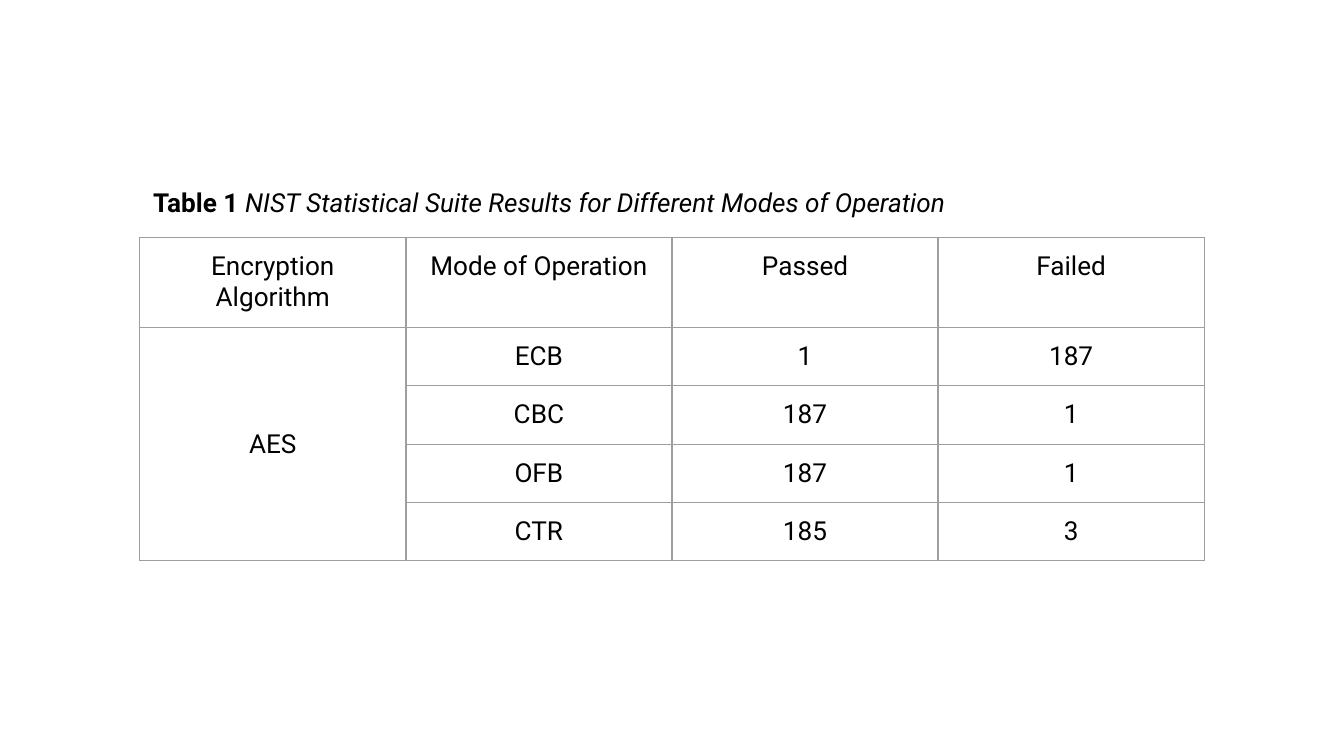
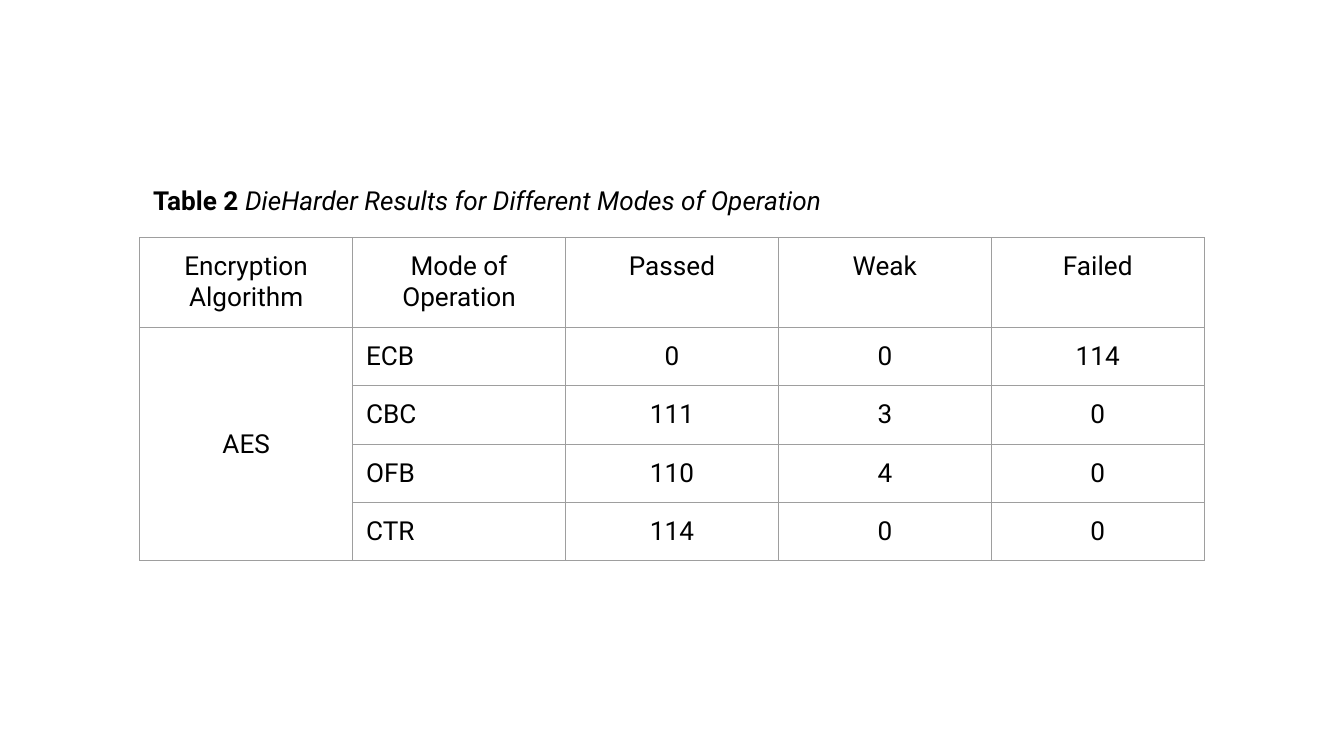
from lxml.etree import SubElement
from pptx import Presentation
from pptx.dml.color import RGBColor
from pptx.enum.text import MSO_ANCHOR as Anchor, PP_ALIGN as Align
from pptx.oxml.ns import qn
from pptx.util import Inches, Pt

RESULT_SLIDES = [
    {
        "label": "Table 1 ",
        "caption": "NIST Statistical Suite Results for Different Modes of Operation",
        "caption_top": 1.29,
        "mode_align": Align.CENTER,
        "header": ["Encryption Algorithm", "Mode of Operation", "Passed", "Failed"],
        "algorithm": "AES",
        "results": [
            ("ECB", 1, 187),
            ("CBC", 187, 1),
            ("OFB", 187, 1),
            ("CTR", 185, 3),
        ],
    },
    {
        "label": "Table 2 ",
        "caption": "DieHarder Results for Different Modes of Operation",
        "caption_top": 1.27,
        "mode_align": Align.LEFT,
        "header": ["Encryption Algorithm", "Mode of Operation", "Passed", "Weak", "Failed"],
        "algorithm": "AES",
        "results": [
            ("ECB", 0, 0, 114),
            ("CBC", 111, 3, 0),
            ("OFB", 110, 4, 0),
            ("CTR", 114, 0, 0),
        ],
    },
]

BLACK = RGBColor(0x00, 0x00, 0x00)
WHITE = RGBColor(0xFF, 0xFF, 0xFF)
BORDER_GREY = RGBColor(0x9E, 0x9E, 0x9E)
FONT_NAME = "Roboto"
FONT_SIZE = Pt(14)
BORDER_WIDTH = Pt(0.75)
INSET = Inches(0.1)
SLIDE_WIDTH = Inches(10)
SLIDE_HEIGHT = SLIDE_WIDTH * 9 // 16
LEFT, TABLE_TOP, WIDTH = 1.04, 1.77, 7.92
ROW_HEIGHT = 0.42


def style_font(font):
    font.name = FONT_NAME
    font.size = FONT_SIZE
    font.color.rgb = BLACK


def set_insets(holder):
    holder.margin_left = holder.margin_right = INSET
    holder.margin_top = holder.margin_bottom = INSET


def add_caption(slide, content):
    top = content["caption_top"]
    box = slide.shapes.add_textbox(
        Inches(LEFT), Inches(top), Inches(WIDTH), Inches(TABLE_TOP - top))
    frame = box.text_frame
    frame.word_wrap = True
    set_insets(frame)
    paragraph = frame.paragraphs[0]
    style_font(paragraph.font)
    label = paragraph.add_run()
    label.text = content["label"]
    label.font.bold = True
    caption = paragraph.add_run()
    caption.text = content["caption"]
    caption.font.italic = True


def add_borders(cell):
    properties = cell._tc.get_or_add_tcPr()
    for side in ("lnL", "lnR", "lnT", "lnB"):
        line = SubElement(properties, qn(f"a:{side}"), w=str(int(BORDER_WIDTH)))
        fill = SubElement(line, qn("a:solidFill"))
        SubElement(fill, qn("a:srgbClr"), val=str(BORDER_GREY))


def fill_cell(cell, text, align):
    add_borders(cell)
    cell.fill.background()
    set_insets(cell)
    cell.text = text
    paragraph = cell.text_frame.paragraphs[0]
    paragraph.alignment = align
    style_font(paragraph.font)


def add_results_table(slide, content):
    header, results = content["header"], content["results"]
    rows = [header]
    for index, result in enumerate(results):
        rows.append([content["algorithm"] if index == 0 else "", *result])
    table = slide.shapes.add_table(
        len(rows), len(header), Inches(LEFT), Inches(TABLE_TOP),
        Inches(WIDTH), Inches(ROW_HEIGHT * len(rows))).table
    table.first_row = False
    table.horz_banding = False
    for row_index, values in enumerate(rows):
        for column_index, value in enumerate(values):
            is_mode = row_index > 0 and column_index == 1
            align = content["mode_align"] if is_mode else Align.CENTER
            fill_cell(table.cell(row_index, column_index), str(value), align)
    algorithm_cell = table.cell(1, 0)
    algorithm_cell.merge(table.cell(len(results), 0))
    algorithm_cell.vertical_anchor = Anchor.MIDDLE


def main():
    presentation = Presentation()
    presentation.slide_width = SLIDE_WIDTH
    presentation.slide_height = SLIDE_HEIGHT
    blank_layout = presentation.slide_layouts[6]
    for content in RESULT_SLIDES:
        slide = presentation.slides.add_slide(blank_layout)
        slide.background.fill.solid()
        slide.background.fill.fore_color.rgb = WHITE
        add_caption(slide, content)
        add_results_table(slide, content)
    presentation.save("out.pptx")


if __name__ == "__main__":
    main()
